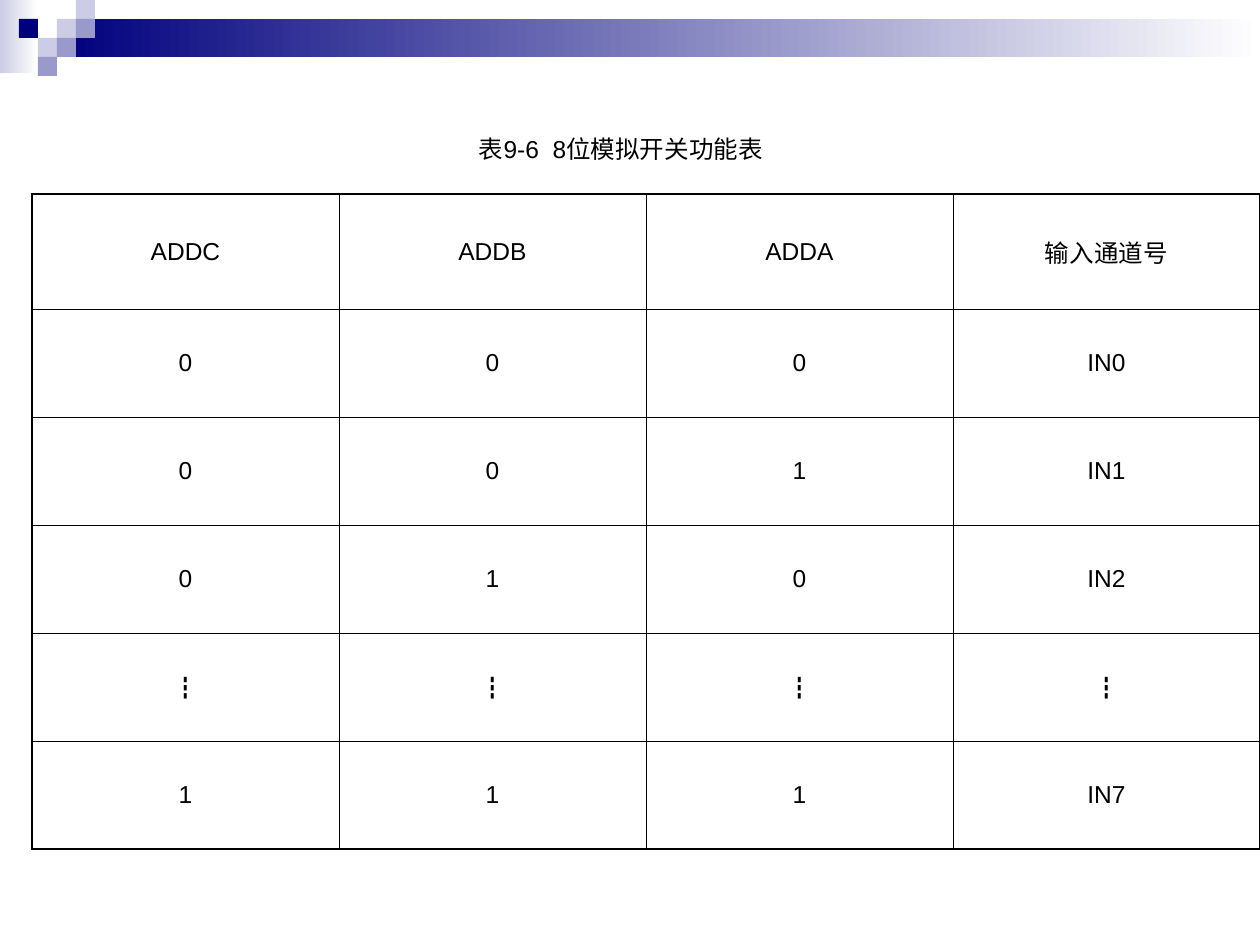
from lxml import etree
from pptx import Presentation
from pptx.dml.color import RGBColor
from pptx.enum.shapes import MSO_SHAPE as SHAPE
from pptx.enum.text import MSO_ANCHOR as ANCHOR, PP_ALIGN as ALIGN
from pptx.oxml.ns import qn
from pptx.util import Emu, Pt

LATIN, CJK = "Arial", "Noto Sans CJK SC"
NAVY, MID, PALE, WHITE, BLACK = "00007D", "9999CC", "CCCCE6", "FFFFFF", "000000"
ROWS = [
    ["ADDC", "ADDB", "ADDA", "输入通道号"],
    ["0", "0", "0", "IN0"],
    ["0", "0", "1", "IN1"],
    ["0", "1", "0", "IN2"],
    ["┇"] * 4,
    ["1", "1", "1", "IN7"],
]


def px(n):
    return Emu(n * 914400 // 126)


def color(value):
    return RGBColor.from_string(value)


def add_rect(slide, x, y, w, h, *fills):
    sp = slide.shapes.add_shape(SHAPE.RECTANGLE, px(x), px(y), px(w), px(h))
    sp.shadow.inherit = False
    sp.line.fill.background()
    if len(fills) == 1:
        sp.fill.solid()
        sp.fill.fore_color.rgb = color(fills[0])
        return
    sp.fill.gradient()
    sp.fill.gradient_angle = 0
    for stop, value in zip(sp.fill.gradient_stops, fills):
        stop.color.rgb = color(value)


def write(tf, text, font=LATIN):
    tf.text = text
    p = tf.paragraphs[0]
    p.alignment = ALIGN.CENTER
    for r in p.runs:
        r.font.size = Pt(14)
        r.font.name = font
        r.font.color.rgb = color(BLACK)
        ea = etree.SubElement(r._r.get_or_add_rPr(), qn("a:ea"))
        ea.set("typeface", CJK)


def add_header(slide, x, y, w):
    unit = 19
    add_rect(slide, x, y, 2 * unit, 73, PALE, WHITE)
    add_rect(slide, x + 3 * unit, y + unit, w - 3 * unit, 2 * unit, NAVY, WHITE)
    squares = [
        (2, 1, PALE), (3, 0, PALE), (3, 1, MID), (1, 2, PALE),
        (0, 1, NAVY), (2, 2, MID), (1, 3, MID),
    ]
    for col, row, fill in squares:
        add_rect(slide, x + (col + 1) * unit, y + row * unit, unit, unit, fill)


def add_title(slide, x, y, w, h):
    tf = slide.shapes.add_textbox(px(x), px(y), px(w), px(h)).text_frame
    tf.word_wrap = True
    tf.vertical_anchor = ANCHOR.MIDDLE
    write(tf, "表9-6  8位模拟开关功能表")


def set_borders(cell, outer):
    tcPr = cell._tc.get_or_add_tcPr()
    for i, side in enumerate("LRTB"):
        ln = etree.Element(qn(f"a:ln{side}"), w=str(Pt(1.08 if side in outer else 0.45)))
        fill = etree.SubElement(ln, qn("a:solidFill"))
        etree.SubElement(fill, qn("a:srgbClr"), val=BLACK)
        tcPr.insert(i, ln)


def add_channel_table(slide, x, y, w, h):
    n_rows, n_cols = len(ROWS), len(ROWS[0])
    frame = slide.shapes.add_table(n_rows, n_cols, px(x), px(y), px(w), px(h))
    table = frame.table
    table.first_row = table.horz_banding = False
    body_h = 108
    for col in table.columns:
        col.width = px(w // n_cols)
    for i, row in enumerate(table.rows):
        row.height = px(body_h if i else h - body_h * (n_rows - 1))
        for j, cell in enumerate(row.cells):
            text = ROWS[i][j]
            write(cell.text_frame, text, CJK if text == "┇" else LATIN)
            cell.text_frame.paragraphs[0].space_before = Pt(3.5)
            cell.vertical_anchor = ANCHOR.MIDDLE
            cell.fill.background()
            edges = {"L": j == 0, "R": j == n_cols - 1, "T": i == 0, "B": i == n_rows - 1}
            set_borders(cell, [side for side, is_outer in edges.items() if is_outer])


def main():
    prs = Presentation()
    prs.slide_width, prs.slide_height = px(1260), px(945)
    slide = prs.slides.add_slide(prs.slide_layouts[6])
    add_header(slide, 0, 0, 1260)
    add_title(slide, 54, 115, 1134, 67)
    add_channel_table(slide, 32, 194, 1228, 655)
    prs.save("out.pptx")


if __name__ == "__main__":
    main()
